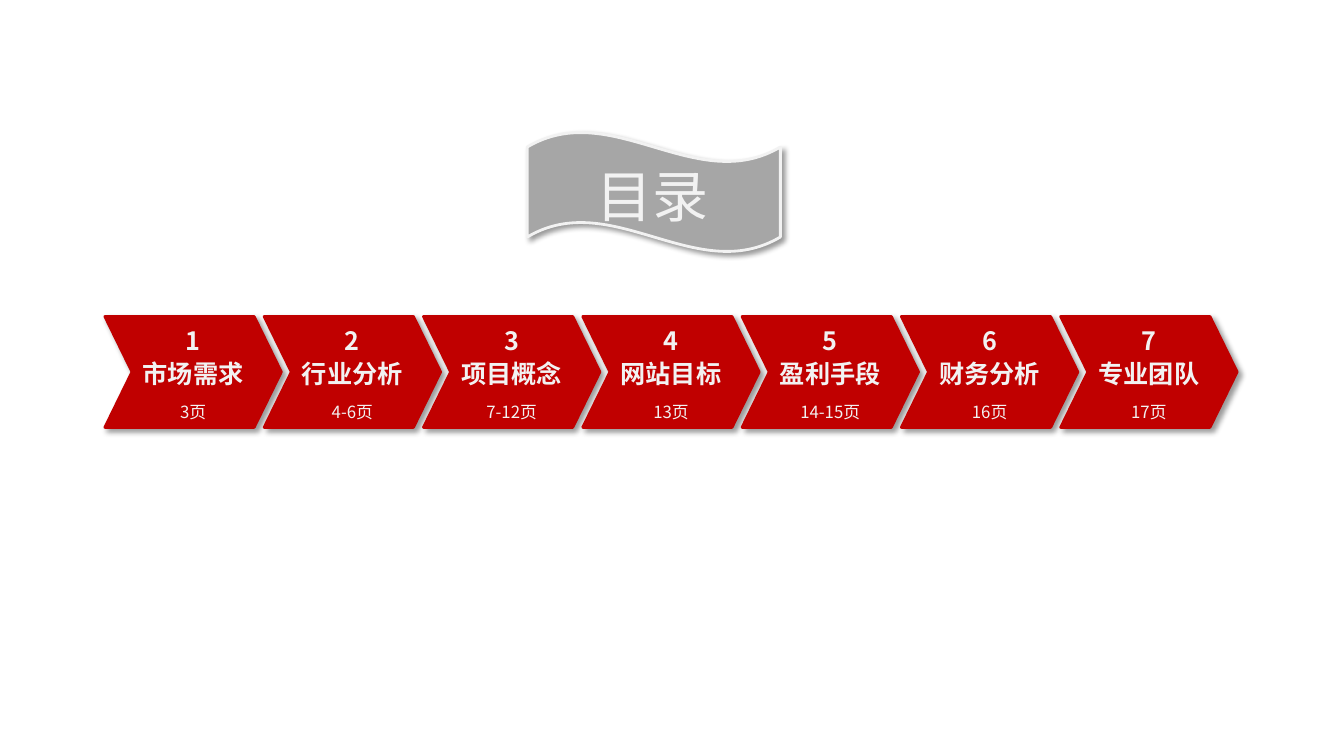
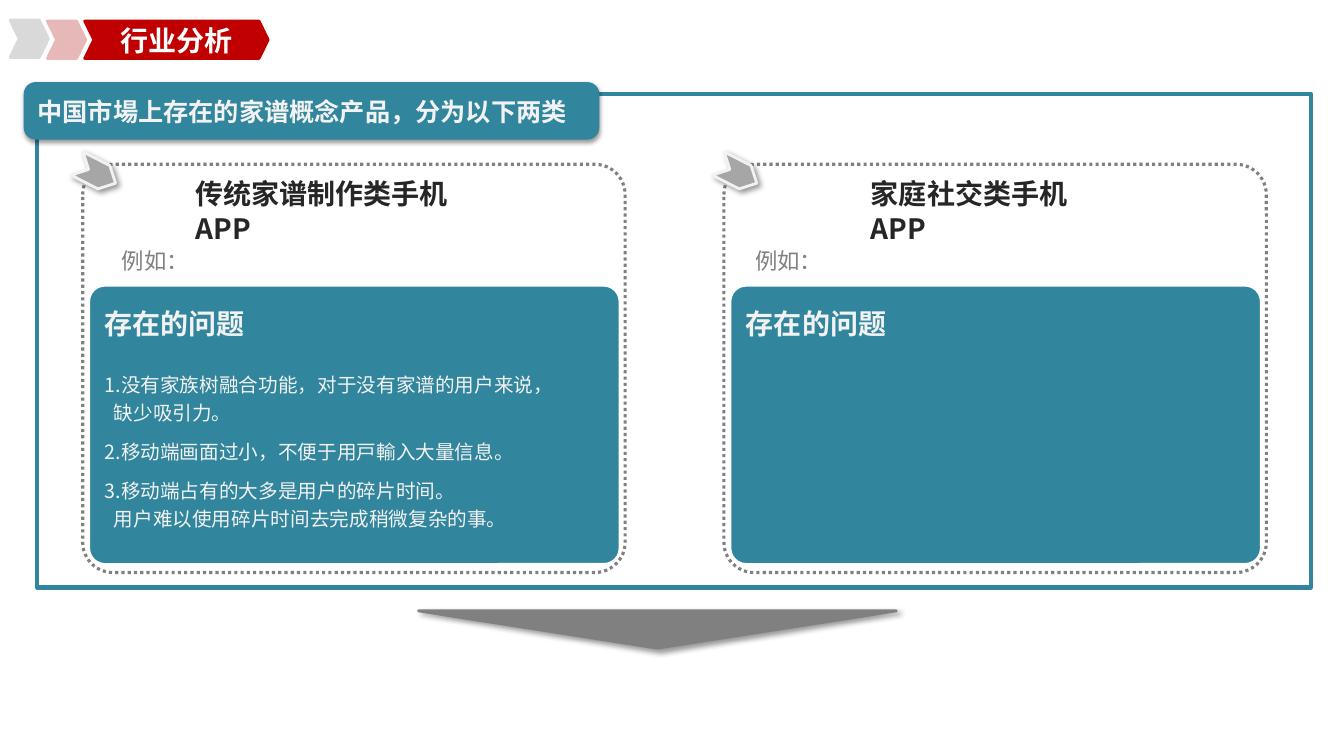
from dataclasses import dataclass

from lxml import etree
from pptx import Presentation
from pptx.dml.color import RGBColor
from pptx.enum.dml import MSO_LINE
from pptx.enum.shapes import MSO_SHAPE
from pptx.enum.text import MSO_ANCHOR, PP_ALIGN
from pptx.oxml.ns import qn
from pptx.util import Inches, Pt

CHEVRON = MSO_SHAPE.CHEVRON
RECTANGLE = MSO_SHAPE.RECTANGLE
ROUNDED = MSO_SHAPE.ROUNDED_RECTANGLE
TRIANGLE = MSO_SHAPE.ISOSCELES_TRIANGLE
WAVE = MSO_SHAPE.WAVE
DOTTED = MSO_LINE.ROUND_DOT
CENTER, LEFT = PP_ALIGN.CENTER, PP_ALIGN.LEFT
MIDDLE, TOP = MSO_ANCHOR.MIDDLE, MSO_ANCHOR.TOP


@dataclass(frozen=True)
class Theme:
    font: str = "Noto Sans CJK SC"
    red: str = "C00000"
    pink: str = "E6B9B8"
    teal: str = "31859C"
    ink: str = "262626"
    gray: str = "808080"
    silver: str = "A6A6A6"
    mist: str = "D9D9D9"
    pale: str = "F2F2F2"
    white: str = "FFFFFF"
    shadow: str = "000000"
    cover: int = 40
    heading: int = 20
    label: int = 18
    example: int = 16
    body: int = 14
    pages: int = 12
    leading: float = 1.27
    soft_shadow: tuple = (40, 4, 3, 45)
    banner_shadow: tuple = (38, 3.1, 1.6, 90)


THEME = Theme()


class Deck:
    def __init__(self, theme):
        self.theme = theme
        self.presentation = Presentation()
        self.presentation.slide_width = Inches(13.33)
        self.presentation.slide_height = Inches(7.5)
        self.slide = None

    def new_slide(self):
        blank = self.presentation.slide_layouts[6]
        self.slide = self.presentation.slides.add_slide(blank)

    def shape(self, kind, box, fill=None, line=None, width=2, adjust=None,
              shadow=None, dash=None, rotation=0):
        shape = self.slide.shapes.add_shape(kind, *map(Inches, box))
        shape.shadow.inherit = False
        shape.rotation = rotation
        if adjust is not None:
            shape.adjustments[0] = adjust
        if fill:
            shape.fill.solid()
            shape.fill.fore_color.rgb = RGBColor.from_string(fill)
        else:
            shape.fill.background()
        shape.line.color.rgb = RGBColor.from_string(line or fill)
        shape.line.width = Pt(width)
        if dash:
            shape.line.dash_style = dash
        if shadow:
            self.cast_shadow(shape, *shadow)
        return shape

    def cast_shadow(self, shape, opacity, blur, distance, angle):
        effects = shape.element.spPr.find(qn("a:effectLst"))
        outer = etree.SubElement(
            effects, qn("a:outerShdw"), blurRad=str(Pt(blur)),
            dist=str(Pt(distance)), dir=str(angle * 60000),
            algn="ctr", rotWithShape="0")
        color = etree.SubElement(outer, qn("a:srgbClr"), val=self.theme.shadow)
        etree.SubElement(color, qn("a:alpha"), val=str(opacity * 1000))

    def frame(self, shape, anchor=TOP, side=0.1, edge=0.05):
        layout = {
            "word_wrap": True, "vertical_anchor": anchor,
            "margin_left": Inches(side), "margin_right": Inches(side),
            "margin_top": Inches(edge), "margin_bottom": Inches(edge),
        }
        for name, value in layout.items():
            setattr(shape.text_frame, name, value)
        return shape.text_frame

    def add_line(self, frame, text, size, color, bold=False, align=LEFT,
                 spacing=None, before=0, hanging=0):
        first = frame.paragraphs[0]
        paragraph = frame.add_paragraph() if first.runs else first
        paragraph.text = text
        layout = {
            "alignment": align,
            "line_spacing": Pt(spacing or size * self.theme.leading),
            "space_before": Pt(before),
        }
        for name, value in layout.items():
            setattr(paragraph, name, value)
        if hanging:
            properties = paragraph._p.get_or_add_pPr()
            properties.set("marL", str(Inches(hanging)))
            properties.set("indent", str(-Inches(hanging)))
        style = {"name": self.theme.font, "size": Pt(size), "bold": bold}
        for run in paragraph.runs:
            for name, value in style.items():
                setattr(run.font, name, value)
            run.font.color.rgb = RGBColor.from_string(color)
            etree.SubElement(run._r.get_or_add_rPr(), qn("a:ea"),
                             typeface=self.theme.font)

    def text(self, box, content, size, color, bold=False):
        frame = self.frame(self.slide.shapes.add_textbox(*map(Inches, box)))
        self.add_line(frame, content, size, color, bold)
        return frame

    def agenda_step(self, left, number, topic, pages):
        t = self.theme
        step = self.shape(CHEVRON, (left, 3.14, 1.75, 1.1), t.red,
                          adjust=0.245, shadow=t.soft_shadow)
        frame = self.frame(step, MIDDLE, side=0)
        for content, size, bold in ((str(number), t.label, True),
                                    (topic, t.label, True),
                                    (pages, t.pages, False)):
            self.add_line(frame, content, size, t.pale, bold, CENTER,
                          spacing=24)

    def section_title(self, title):
        t = self.theme
        for left, top, width, color in ((0.1, 0.2, 0.38, t.mist),
                                        (0.47, 0.21, 0.38, t.pink),
                                        (0.84, 0.21, 1.82, t.red)):
            band = self.shape(CHEVRON, (left, top, width, 0.37), color,
                              adjust=0.245)
        frame = self.frame(band, MIDDLE, side=0, edge=0)
        self.add_line(frame, title, t.heading, t.white, True, CENTER)

    def banner(self, box, content):
        t = self.theme
        banner = self.shape(ROUNDED, box, t.teal, width=0.75, adjust=0.206,
                            shadow=t.banner_shadow)
        self.add_line(self.frame(banner, MIDDLE), content, t.label, t.pale,
                      True)

    def category(self, left, title, title_left, example_left, problems=()):
        t = self.theme
        self.text((title_left, 1.68, 3.3, 0.8), title, t.heading, t.ink, True)
        self.shape(ROUNDED, (left + 0.06, 2.83, 5.27, 2.77), t.teal, t.white,
                   adjust=0.058)
        self.shape(ROUNDED, (left, 1.63, 5.38, 4.05), line=t.gray, width=2.25,
                   adjust=0.074, dash=DOTTED)
        frame = self.text((left + 0.12, 2.97, 4.75, 2.58), "存在的问题",
                          t.heading, t.pale, True)
        for index, problem in enumerate(problems):
            self.add_line(frame, problem, t.body, t.pale, spacing=20,
                          before=8 if index else 20, hanging=0.09)
        self.shape(CHEVRON, (left - 0.08, 1.59, 0.43, 0.26), t.silver, t.pale,
                   shadow=t.soft_shadow, rotation=27.1)
        self.text((example_left, 2.39, 0.95, 0.37), "例如：", t.example, t.gray)


def build_agenda(deck):
    t = deck.theme
    deck.new_slide()
    deck.shape(WAVE, (5.23, 1.31, 2.51, 1.19), t.silver, t.pale,
               shadow=t.soft_shadow)
    deck.text((5.82, 1.51, 1.4, 0.77), "目录", t.cover, t.pale)
    agenda = (
        ("市场需求", "3页"), ("行业分析", "4-6页"), ("项目概念", "7-12页"),
        ("网站目标", "13页"), ("盈利手段", "14-15页"), ("财务分析", "16页"),
        ("专业团队", "17页"),
    )
    for index, (topic, pages) in enumerate(agenda):
        deck.agenda_step(1.04 + 1.58 * index, index + 1, topic, pages)


def build_industry_analysis(deck):
    t = deck.theme
    deck.new_slide()
    deck.section_title("行业分析")
    deck.shape(RECTANGLE, (0.37, 0.93, 12.63, 4.9), line=t.teal, width=3)
    deck.banner((0.24, 0.82, 5.7, 0.56),
                "中国市場上存在的家谱概念产品，分为以下两类")
    deck.category(0.82, "传统家谱制作类手机\nAPP", 1.84, 1.11, (
        "1.没有家族树融合功能，对于没有家谱的用户来说，\n缺少吸引力。",
        "2.移动端画面过小，不便于用戸輸入大量信息。",
        "3.移动端占有的大多是用户的碎片时间。\n"
        "用户难以使用碎片时间去完成稍微复杂的事。",
    ))
    deck.category(7.18, "家庭社交类手机\nAPP", 8.54, 7.39)
    deck.shape(TRIANGLE, (4.15, 6.06, 4.74, 0.37), t.gray,
               shadow=t.soft_shadow, rotation=180)


def main():
    deck = Deck(THEME)
    build_agenda(deck)
    build_industry_analysis(deck)
    deck.presentation.save("out.pptx")


if __name__ == "__main__":
    main()
